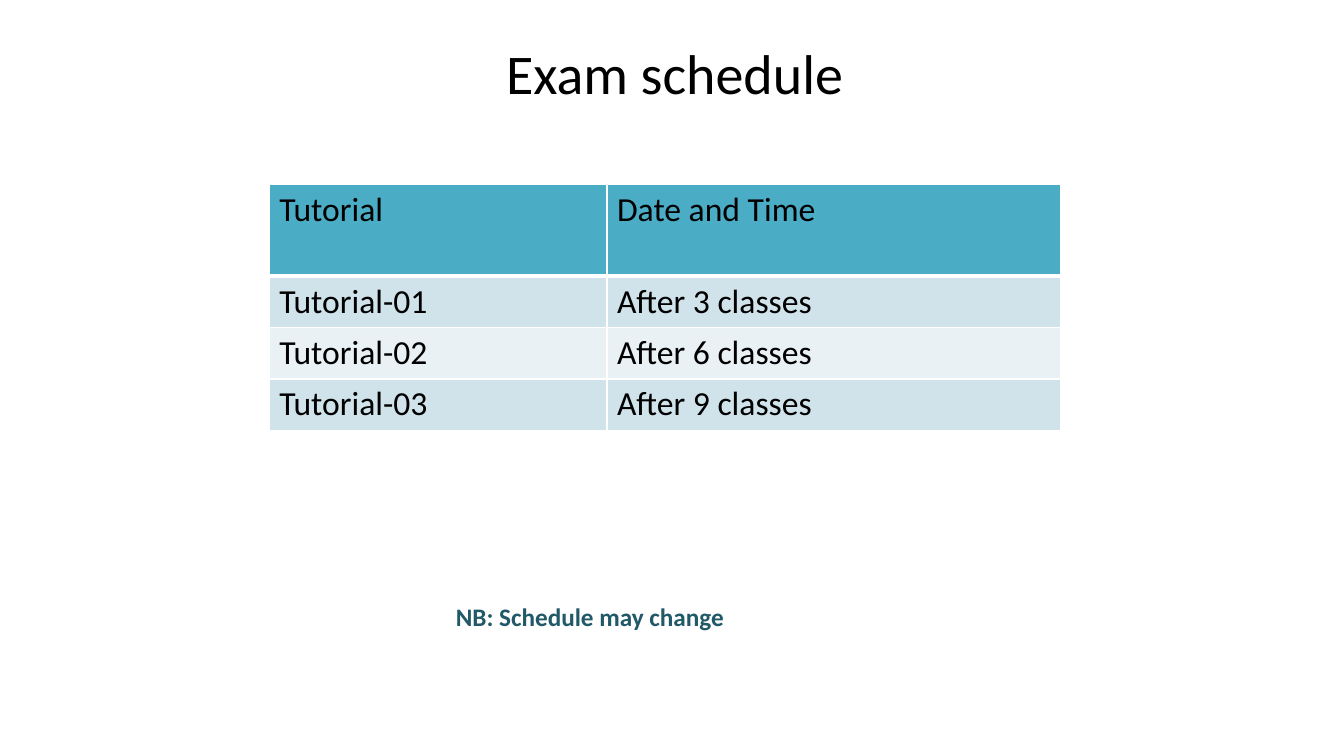
from dataclasses import dataclass

from lxml import etree
from pptx import Presentation
from pptx import util as u
from pptx.dml.color import RGBColor
from pptx.enum import text as t
from pptx.oxml.ns import qn


@dataclass(frozen=True)
class Theme:
    font: str = "Calibri"
    ink: str = "000000"
    note: str = "215968"
    head: str = "4BACC6"
    bands: tuple = ("D0E3EA", "E9F1F5")
    rule: str = "FFFFFF"
    title: int = 40
    cell: int = 24
    small: int = 18


THEME = Theme()
WIDE, HIGH = 13.33, 7.5
LEFT = 2.67
ROWS = [
    ("Tutorial", "Date and Time"),
    ("Tutorial-01", "After 3 classes"),
    ("Tutorial-02", "After 6 classes"),
    ("Tutorial-03", "After 9 classes"),
]


def write(frame, words, size, color=THEME.ink, bold=False,
          align=t.PP_ALIGN.LEFT):
    """Put one formatted paragraph in a text frame."""
    frame.word_wrap = True
    para = frame.paragraphs[0]
    para.alignment = align
    run = para.add_run()
    run.text = words
    font = run.font
    font.name, font.size, font.bold = THEME.font, u.Pt(size), bold
    font.color.rgb = RGBColor.from_string(color)


def edge(cell, sides):
    """Draw cell borders, given as side: width in points."""
    props = cell._tc.get_or_add_tcPr()
    for spot, side in enumerate("LRTB"):
        line = etree.Element(qn(f"a:ln{side}"), w=str(u.Pt(sides[side])))
        fill = etree.SubElement(line, qn("a:solidFill"))
        etree.SubElement(fill, qn("a:srgbClr"), val=THEME.rule)
        props.insert(spot, line)


def heading(slide, box):
    """Centred title at the top of its box."""
    title = slide.shapes.title
    title.left, title.top, title.width, title.height = map(u.Inches, box)
    frame = title.text_frame
    frame.auto_size = t.MSO_AUTO_SIZE.NONE
    frame.vertical_anchor = t.MSO_ANCHOR.TOP
    write(frame, "Exam schedule", THEME.title, align=t.PP_ALIGN.CENTER)


def schedule(slide, box):
    """Banded table with a tall header row."""
    wide, high = box[2:]
    frame = slide.shapes.add_table(len(ROWS), 2, *map(u.Inches, box))
    table = frame.table
    first, tall = 3.35, 0.91
    table.columns[0].width = u.Inches(first)
    table.columns[1].width = u.Inches(wide - first)
    for r, row in enumerate(ROWS):
        share = tall if r == 0 else (high - tall) / (len(ROWS) - 1)
        table.rows[r].height = u.Inches(share)
        color = THEME.head if r == 0 else THEME.bands[(r - 1) % 2]
        for c, words in enumerate(row):
            cell = table.cell(r, c)
            cell.fill.solid()
            cell.fill.fore_color.rgb = RGBColor.from_string(color)
            # Heavier rule between header and body
            edge(cell, {"L": 1, "R": 1, "T": 3 if r == 1 else 1,
                        "B": 3 if r == 0 else 1})
            write(cell.text_frame, words, THEME.cell)


def remark(slide, box):
    """Bold note below the table."""
    frame = slide.shapes.add_textbox(*map(u.Inches, box)).text_frame
    write(frame, "NB: Schedule may change", THEME.small,
          color=THEME.note, bold=True)
    frame.auto_size = t.MSO_AUTO_SIZE.SHAPE_TO_FIT_TEXT


def main():
    deck = Presentation()
    deck.slide_width, deck.slide_height = u.Inches(WIDE), u.Inches(HIGH)
    slide = deck.slides.add_slide(deck.slide_layouts[5])
    heading(slide, (LEFT, 0.33, 8.04, HIGH / 6))
    schedule(slide, (LEFT, 1.83, 7.85, 2.44))
    remark(slide, (WIDE / 3 - 0.02, 5.92, 5.25, 0.4))
    deck.save("out.pptx")


if __name__ == "__main__":
    main()
